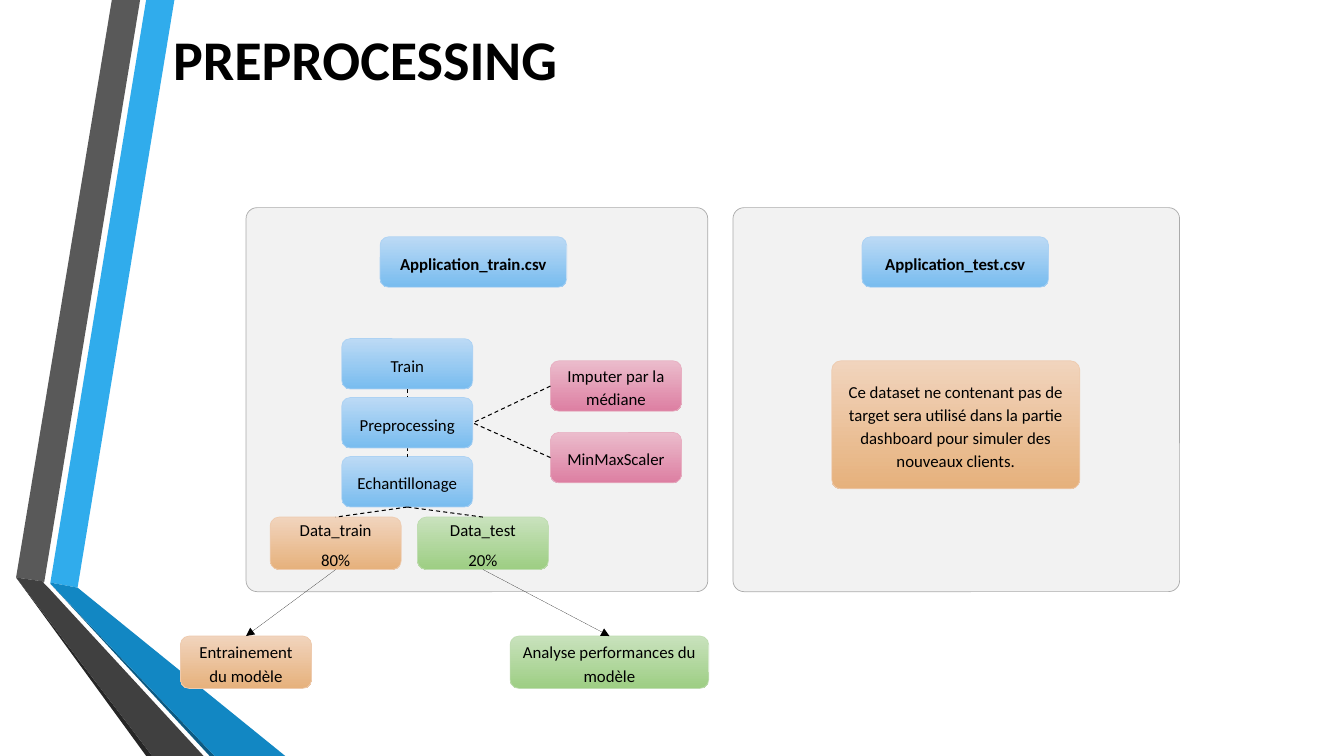
from lxml import etree
from pptx import Presentation
from pptx.dml.color import RGBColor
from pptx.enum.dml import MSO_LINE
from pptx.enum.shapes import MSO_CONNECTOR, MSO_SHAPE
from pptx.enum.text import MSO_ANCHOR, PP_ALIGN
from pptx.oxml.ns import qn
from pptx.util import Inches, Pt

# gradient top, gradient bottom, outline
BLUE = ("BCDAF5", "78BCEF", "ADD2F3")
ORANGE = ("F1D4BD", "E6B17C", "EECBAF")
GREEN = ("C9E2BD", "9DCE83", "C0DDB2")
PINK = ("EBBCCC", "DD7FA2", "E7B0C2")

TOP, BOTTOM, LEFT, RIGHT = 0, 2, 1, 3
STEP_W, STEP_H, DATA_H = 1.3, 0.5, 0.52
FILE_W = 1.85

RIBBONS = [
    ("30ACEC", [(0.5, 5.78), (0.77, 5.83), (1.73, 0), (1.45, 0)]),
    ("595959", [(1.39, 0), (1.11, 0), (0.16, 5.73), (0.44, 5.77)]),
    ("262626", [(0.16, 5.73), (1.45, 7.5), (1.51, 7.5)]),
    ("0C5A82", [(0.5, 5.79), (2.08, 7.5), (2.13, 7.5)]),
    ("1287C3", [(0.5, 5.79), (2.13, 7.5), (2.83, 7.5), (0.77, 5.83), (0.5, 5.78)]),
    ("404040", [(2.02, 7.5), (0.48, 5.83), (0.43, 5.78), (0.44, 5.77),
                (0.16, 5.73), (1.51, 7.5)]),
]


def rgb(color):
    return RGBColor.from_string(color)


def add_ribbons(s):
    for color, points in RIBBONS:
        start, *rest = [(Inches(x), Inches(y)) for x, y in points]
        builder = s.shapes.build_freeform(*start)
        builder.add_line_segments(rest, close=True)
        sp = builder.convert_to_shape()
        sp.shadow.inherit = False
        sp.fill.solid()
        sp.fill.fore_color.rgb = rgb(color)
        sp.line.fill.background()


def add_title(s, x, y, w, h):
    tf = s.shapes.add_textbox(Inches(x), Inches(y), Inches(w), Inches(h)).text_frame
    tf.word_wrap = True
    tf.vertical_anchor = MSO_ANCHOR.MIDDLE
    p = tf.paragraphs[0]
    p.text = "PREPROCESSING"
    p.font.name, p.font.size, p.font.bold = "Calibri", Pt(40), True
    p.font.color.rgb = rgb("000000")


def add_round_rect(s, x, y, w, h, radius, line):
    sp = s.shapes.add_shape(MSO_SHAPE.ROUNDED_RECTANGLE,
                            Inches(x), Inches(y), Inches(w), Inches(h))
    sp.adjustments[0] = radius / min(w, h)
    sp.shadow.inherit = False
    sp.line.color.rgb = rgb(line)
    sp.line.width = Pt(0.5)
    return sp


def add_panel(s, x, y, w, h):
    sp = add_round_rect(s, x, y, w, h, 0.11, "ABABAB")
    sp.fill.solid()
    sp.fill.fore_color.rgb = rgb("F2F2F2")


def add_box(s, text, x, y, w, h, colors, bold=False, after=10):
    """Gradient box; each line of text becomes a paragraph."""
    sp = add_round_rect(s, x, y, w, h, h / 6 if h < 1 else 0.09, colors[2])
    sp.fill.gradient()
    sp.fill.gradient_angle = 270
    for stop, color in zip(sp.fill.gradient_stops, colors):
        stop.color.rgb = rgb(color)
    tf = sp.text_frame
    tf.word_wrap = True
    tf.vertical_anchor = MSO_ANCHOR.MIDDLE
    tf.text = text
    for p in tf.paragraphs:
        p.alignment = PP_ALIGN.CENTER
        p.line_spacing = 1.15
        p.space_before, p.space_after = Pt(5), Pt(after)
        p.font.name, p.font.size, p.font.bold = "Calibri", Pt(12), bold
        p.font.color.rgb = rgb("000000")
    return sp


def link(s, begin, begin_side, end, end_side, arrow=False):
    """Dashed line, or hairline arrow, between the sides of two boxes."""
    c = s.shapes.add_connector(MSO_CONNECTOR.STRAIGHT, 0, 0, 0, 0)
    c.begin_connect(begin, begin_side)
    c.end_connect(end, end_side)
    c.line.color.rgb = rgb("000000")
    spPr = c._element.spPr
    if arrow:
        ln = spPr.find(qn("a:ln"))
        ln.set("w", "0")
        etree.SubElement(ln, qn("a:tailEnd"), type="triangle")
    else:
        c.line.width = Pt(0.75)
        c.line.dash_style = MSO_LINE.DASH
    etree.SubElement(spPr, qn("a:effectLst"))


def add_train_region(s, x, y, w, h):
    add_panel(s, x, y, w, h)
    add_box(s, "Application_train.csv", x + 1.33, y + 0.29, FILE_W, STEP_H, BLUE, bold=True)

    def add_step(text, row):
        return add_box(s, text, x + 0.95, y + 1.3 + 0.585 * row, STEP_W, STEP_H, BLUE)

    train = add_step("Train", 0)
    sampling = add_step("Echantillonage", 2)
    link(s, train, BOTTOM, sampling, TOP)
    preprocessing = add_step("Preprocessing", 1)

    for row, text in enumerate(["Imputer par la médiane", "MinMaxScaler"]):
        method = add_box(s, text, x + 3.02, y + 1.52 + 0.71 * row, STEP_W, STEP_H, PINK)
        link(s, method, LEFT, preprocessing, RIGHT)

    # data split, its offset, outcome, outcome offset and width, colours
    branches = [
        ("Data_train\n80%", 0.24, "Entrainement du modèle", -0.65, STEP_W, ORANGE),
        ("Data_test\n20%", 1.7, "Analyse performances du modèle", 2.62, 1.97, GREEN),
    ]
    for split, split_dx, outcome, outcome_dx, outcome_w, colors in branches:
        data = add_box(s, split, x + split_dx, y + 3.07, STEP_W, DATA_H, colors, after=0)
        link(s, sampling, BOTTOM, data, TOP)
        result = add_box(s, outcome, x + outcome_dx, y + h + 0.44, outcome_w, DATA_H,
                         colors, after=0)
        link(s, data, BOTTOM, result, TOP, arrow=True)


def add_test_region(s, x, y, w, h):
    add_panel(s, x, y, w, h)
    add_box(s, "Application_test.csv", x + 1.28, y + 0.29, FILE_W, STEP_H, BLUE, bold=True)
    add_box(s, "Ce dataset ne contenant pas de target sera utilisé dans la partie "
               "dashboard pour simuler des nouveaux clients.",
            x + 0.98, y + 1.52, 2.46, 1.27, ORANGE)


def main():
    prs = Presentation()
    prs.slide_width, prs.slide_height = Inches(13.33), Inches(7.5)
    s = prs.slides.add_slide(prs.slide_layouts[6])
    add_ribbons(s)
    add_title(s, 1.62, 0, 10.96, 1.16)
    add_test_region(s, 7.27, 2.06, 4.43, 3.81)
    add_train_region(s, 2.44, 2.06, 4.58, 3.81)
    prs.save("out.pptx")


if __name__ == "__main__":
    main()
